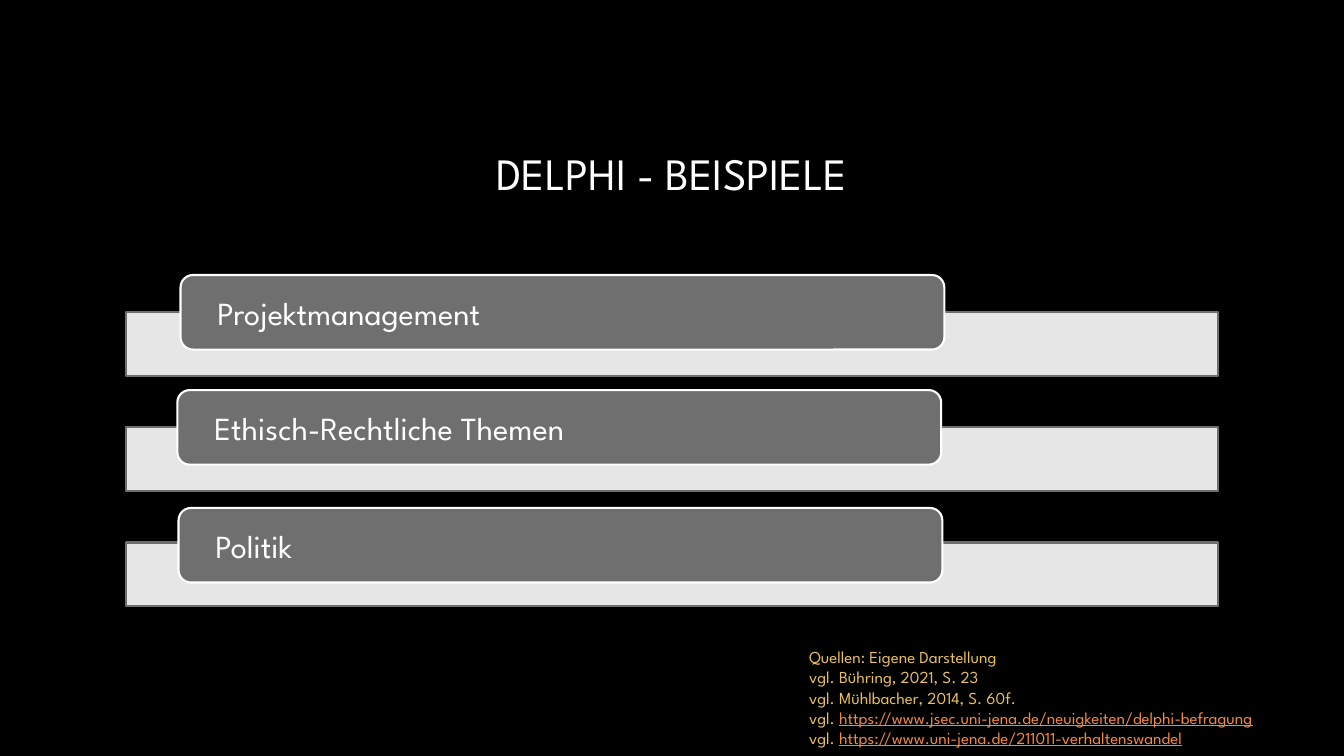
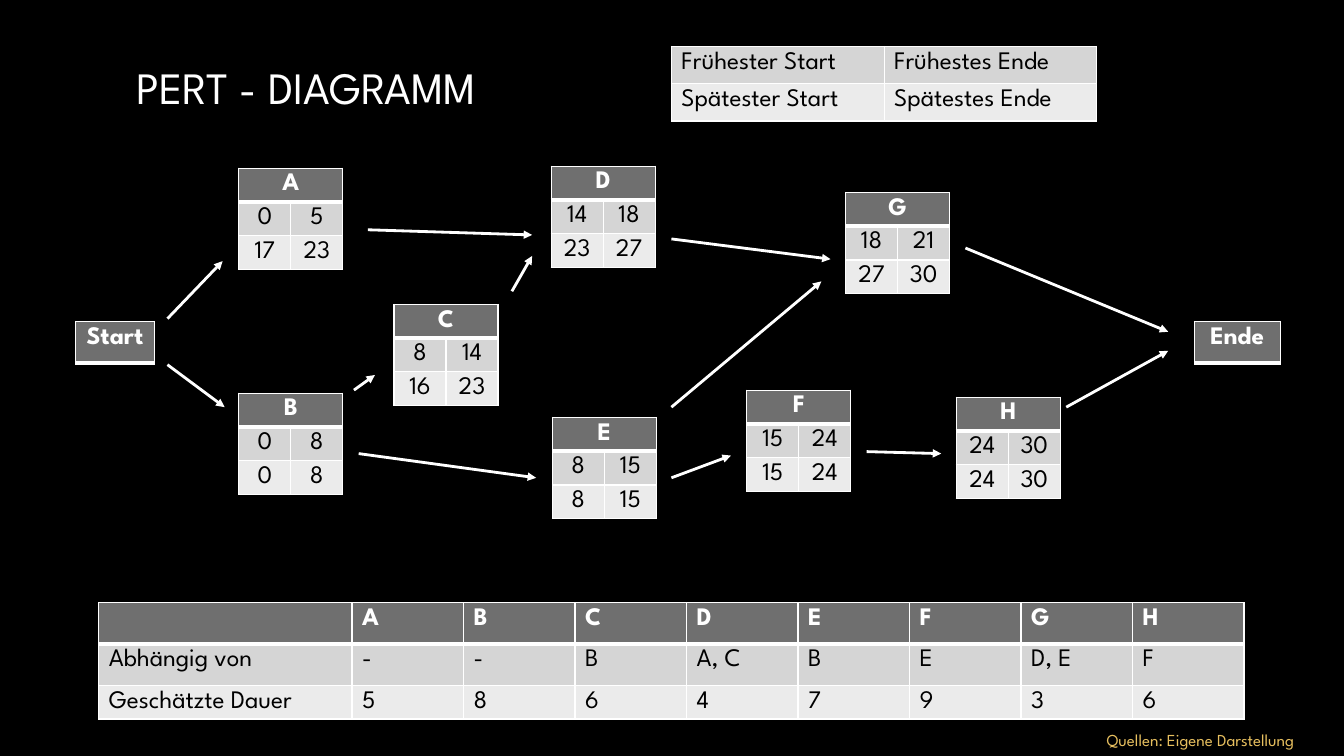
from dataclasses import dataclass
from typing import NamedTuple

from lxml import etree
from pptx import Presentation
from pptx.dml.color import RGBColor
from pptx.enum.shapes import MSO_CONNECTOR, MSO_SHAPE
from pptx.enum.text import MSO_ANCHOR, PP_ALIGN
from pptx.oxml.ns import qn
from pptx.slide import Slide
from pptx.util import Cm, Pt

LEFT, CENTER = PP_ALIGN.LEFT, PP_ALIGN.CENTER
MIDDLE = MSO_ANCHOR.MIDDLE
RECT, ROUNDED = MSO_SHAPE.RECTANGLE, MSO_SHAPE.ROUNDED_RECTANGLE
STRAIGHT = MSO_CONNECTOR.STRAIGHT


@dataclass(frozen=True)
class Theme:
    font: str = "League Spartan"
    black: str = "000000"
    white: str = "FFFFFF"
    title_end: str = "A6A6A6"
    gray: str = "6F6F6F"
    row_dark: str = "D5D5D5"
    row_light: str = "EBEBEB"
    source: str = "E7BF5F"
    link: str = "F28943"
    title_size: int = 32
    topic_size: int = 23
    table_size: int = 18
    source_size: int = 12


THEME = Theme()


class Box(NamedTuple):
    """Left, top, width and height in centimetres."""
    left: float
    top: float
    width: float
    height: float

    def lengths(self) -> list[Cm]:
        return [Cm(v) for v in self]


class Topic(NamedTuple):
    text: str
    left: float
    top: float


class Node(NamedTuple):
    """One activity with earliest and latest start and end."""
    name: str
    left: float
    top: float
    earliest: tuple[str, str]
    latest: tuple[str, str]


class Endpoint(NamedTuple):
    text: str
    left: float
    width: float


class Arrow(NamedTuple):
    x1: float
    y1: float
    x2: float
    y2: float


class SourceLine(NamedTuple):
    text: str
    link: str = ""


TOPICS = [
    Topic("Projektmanagement", 4.55, 6.93),
    Topic("Ethisch-Rechtliche Themen", 4.47, 9.83),
    Topic("Politik", 4.5, 12.8),
]
BAND_TOP, BAND_PITCH = 7.87, 2.9

OWN_WORK = SourceLine("Quellen: Eigene Darstellung")
SOURCES = [
    OWN_WORK,
    SourceLine("vgl. Bühring, 2021, S. 23"),
    SourceLine("vgl. Mühlbacher, 2014, S. 60f."),
    SourceLine("vgl. ", "https://www.jsec.uni-jena.de/neuigkeiten/delphi-befragung"),
    SourceLine("vgl. ", "https://www.uni-jena.de/211011-verhaltenswandel"),
]

LEGEND = [
    ["Frühester Start", "Frühestes Ende"],
    ["Spätester Start", "Spätestes Ende"],
]
DEPENDENCIES = [
    ["", *"ABCDEFGH"],
    ["Abhängig von", "-", "-", "B", "A, C", "B", "E", "D, E", "F"],
    ["Geschätzte Dauer", *"58647936"],
]
NODES = [
    Node("A", 6.02, 4.24, ("0", "5"), ("17", "23")),
    Node("B", 6.02, 9.91, ("0", "8"), ("0", "8")),
    Node("C", 9.93, 7.67, ("8", "14"), ("16", "23")),
    Node("D", 13.89, 4.19, ("14", "18"), ("23", "27")),
    Node("E", 13.92, 10.52, ("8", "15"), ("8", "15")),
    Node("F", 18.82, 9.83, ("15", "24"), ("15", "24")),
    Node("G", 21.31, 4.85, ("18", "21"), ("27", "30")),
    Node("H", 24.1, 10.01, ("24", "30"), ("24", "30")),
]
ENDPOINTS = [Endpoint("Start", 1.91, 1.98), Endpoint("Ende", 30.1, 2.16)]
ARROWS = [
    Arrow(4.22, 9.19, 5.66, 10.26),
    Arrow(4.22, 8.03, 5.61, 6.58),
    Arrow(9.27, 5.79, 13.41, 5.92),
    Arrow(8.92, 9.83, 9.45, 9.45),
    Arrow(12.9, 7.34, 13.41, 6.45),
    Arrow(9.04, 11.43, 13.51, 12.04),
    Arrow(16.92, 12.04, 18.42, 11.48),
    Arrow(16.92, 6.02, 20.93, 6.53),
    Arrow(16.92, 10.26, 20.7, 7.09),
    Arrow(21.84, 11.38, 23.72, 11.43),
    Arrow(26.87, 10.26, 29.44, 8.84),
    Arrow(24.33, 6.25, 29.44, 8.36),
]


def rgb(color: str) -> RGBColor:
    return RGBColor.from_string(color)


def add_run(p, text: str, size: int, color: str, **extra) -> None:
    """Append a run; extra holds further font attributes."""
    r = p.add_run()
    r.text = text
    for name, value in {"name": THEME.font, "size": Pt(size), **extra}.items():
        setattr(r.font, name, value)
    r.font.color.rgb = rgb(color)


def new_slide(prs, title: str, box: Box, align: PP_ALIGN) -> Slide:
    """Add a title-only slide with the shared title style."""
    s = prs.slides.add_slide(prs.slide_layouts[5])
    sp = s.shapes.title
    sp.left, sp.top, sp.width, sp.height = box.lengths()
    tf = sp.text_frame
    tf.word_wrap, tf.vertical_anchor = True, MIDDLE
    p = tf.paragraphs[0]
    p.alignment = align
    add_run(p, title, THEME.title_size, THEME.white)
    fill = p.runs[0].font.fill
    fill.gradient()
    fill.gradient_angle = 267
    for stop, color in zip(fill.gradient_stops, (THEME.white, THEME.title_end)):
        stop.color.rgb = rgb(color)
    return s


def add_panel(s: Slide, kind: MSO_SHAPE, box: Box, fill: str, line: str):
    sp = s.shapes.add_shape(kind, *box.lengths())
    sp.shadow.inherit = False
    sp.fill.solid()
    sp.fill.fore_color.rgb = rgb(fill)
    sp.line.color.rgb = rgb(line)
    sp.line.width = Pt(1.5)
    return sp


def add_band(s: Slide, top: float) -> None:
    sp = add_panel(s, RECT, Box(3.18, top, 27.51, 1.6), THEME.white, THEME.gray)
    color = sp.fill._xPr.find(qn("a:solidFill"))[0]
    etree.SubElement(color, qn("a:alpha"), val="90000")


def add_topic(s: Slide, topic: Topic) -> None:
    box = Box(topic.left, topic.top, 19.25, 1.88)
    tf = add_panel(s, ROUNDED, box, THEME.gray, THEME.white).text_frame
    layout = {"word_wrap": True, "vertical_anchor": MIDDLE,
              "margin_left": Cm(0.84), "margin_right": Cm(0.84),
              "margin_top": 0, "margin_bottom": 0}
    for name, value in layout.items():
        setattr(tf, name, value)
    p = tf.paragraphs[0]
    p.alignment = LEFT
    add_run(p, topic.text, THEME.topic_size, THEME.white)


def add_sources(s: Slide, box: Box, lines: list[SourceLine]) -> None:
    tf = s.shapes.add_textbox(*box.lengths()).text_frame
    tf.word_wrap = True
    for i, line in enumerate(lines):
        p = tf.add_paragraph() if i else tf.paragraphs[0]
        add_run(p, line.text, THEME.source_size, THEME.source)
        if line.link:
            add_run(p, line.link, THEME.source_size, THEME.link, underline=True)


def add_borders(cell, top: float, bottom: float) -> None:
    """Draw white cell borders; widths are in points."""
    tc_pr = cell._tc.get_or_add_tcPr()
    for side, width in {"L": 1, "R": 1, "T": top, "B": bottom}.items():
        ln = etree.SubElement(tc_pr, qn(f"a:ln{side}"), w=str(Pt(width)))
        fill = etree.SubElement(ln, qn("a:solidFill"))
        etree.SubElement(fill, qn("a:srgbClr"), val=THEME.white)


def add_grid(s: Slide, left: float, top: float, widths: list[float],
             heights: list[float], rows: list[list[str]],
             align: PP_ALIGN = LEFT, header: bool = True):
    """Add a table with an optional gray header row and two shades below."""
    box = Box(left, top, sum(widths), sum(heights))
    table = s.shapes.add_table(len(rows), len(widths), *box.lengths()).table
    table.first_row = header
    for column, width in zip(table.columns, widths):
        column.width = Cm(width)
    shades = [THEME.row_dark, THEME.row_light]
    if header:
        shades.insert(0, THEME.gray)
    for i, (texts, height, shade) in enumerate(zip(rows, heights, shades)):
        table.rows[i].height = Cm(height)
        is_head = header and i == 0
        for cell, text in zip(table.rows[i].cells, texts):
            add_borders(cell, 3 if header and i == 1 else 1, 3 if is_head else 1)
            cell.fill.solid()
            cell.fill.fore_color.rgb = rgb(shade)
            if text:
                p = cell.text_frame.paragraphs[0]
                p.alignment = align
                add_run(p, text, THEME.table_size,
                        THEME.white if is_head else THEME.black, bold=is_head)
    return table


def add_node(s: Slide, node: Node) -> None:
    rows = [[node.name, ""], list(node.earliest), list(node.latest)]
    table = add_grid(s, node.left, node.top, [1.31] * 2, [0.85] * 3, rows, CENTER)
    table.cell(0, 0).merge(table.cell(0, 1))


def add_arrow(s: Slide, arrow: Arrow) -> None:
    cx = s.shapes.add_connector(STRAIGHT, *(Cm(v) for v in arrow))
    cx.line.color.rgb = rgb(THEME.white)
    cx.line.width = Pt(2)
    etree.SubElement(cx.line._get_or_add_ln(), qn("a:tailEnd"), type="triangle")
    etree.SubElement(cx._element.spPr, qn("a:effectLst"))


def build_examples(prs) -> None:
    s = new_slide(prs, "DELPHI - BEISPIELE", Box(3.18, 1.7, 27.51, 5.28), CENTER)
    for i, topic in enumerate(TOPICS):
        add_band(s, BAND_TOP + i * BAND_PITCH)
        add_topic(s, topic)
    add_sources(s, Box(20.14, 16.18, 13.7, 2.82), SOURCES)


def build_pert(prs) -> None:
    s = new_slide(prs, "PERT - DIAGRAMM", Box(3.18, 0.94, 27.51, 2.49), LEFT)
    add_grid(s, 16.92, 1.17, [5.36] * 2, [0.94] * 2, LEGEND, header=False)
    add_grid(s, 2.49, 15.19, [6.38] + [2.81] * 8, [1.04, 1.04, 0.85], DEPENDENCIES)
    for node in NODES:
        add_node(s, node)
    for end in ENDPOINTS:
        add_grid(s, end.left, 8.1, [end.width], [1.04], [[end.text]], CENTER)
    for arrow in ARROWS:
        add_arrow(s, arrow)
    add_sources(s, Box(27.64, 18.26, 6.22, 0.79), [OWN_WORK])


def main() -> None:
    prs = Presentation()
    prs.slide_width, prs.slide_height = Cm(33.87), Cm(19.05)
    background = prs.slide_master.background.fill
    background.solid()
    background.fore_color.rgb = rgb(THEME.black)
    build_examples(prs)
    build_pert(prs)
    prs.save("out.pptx")


if __name__ == "__main__":
    main()
